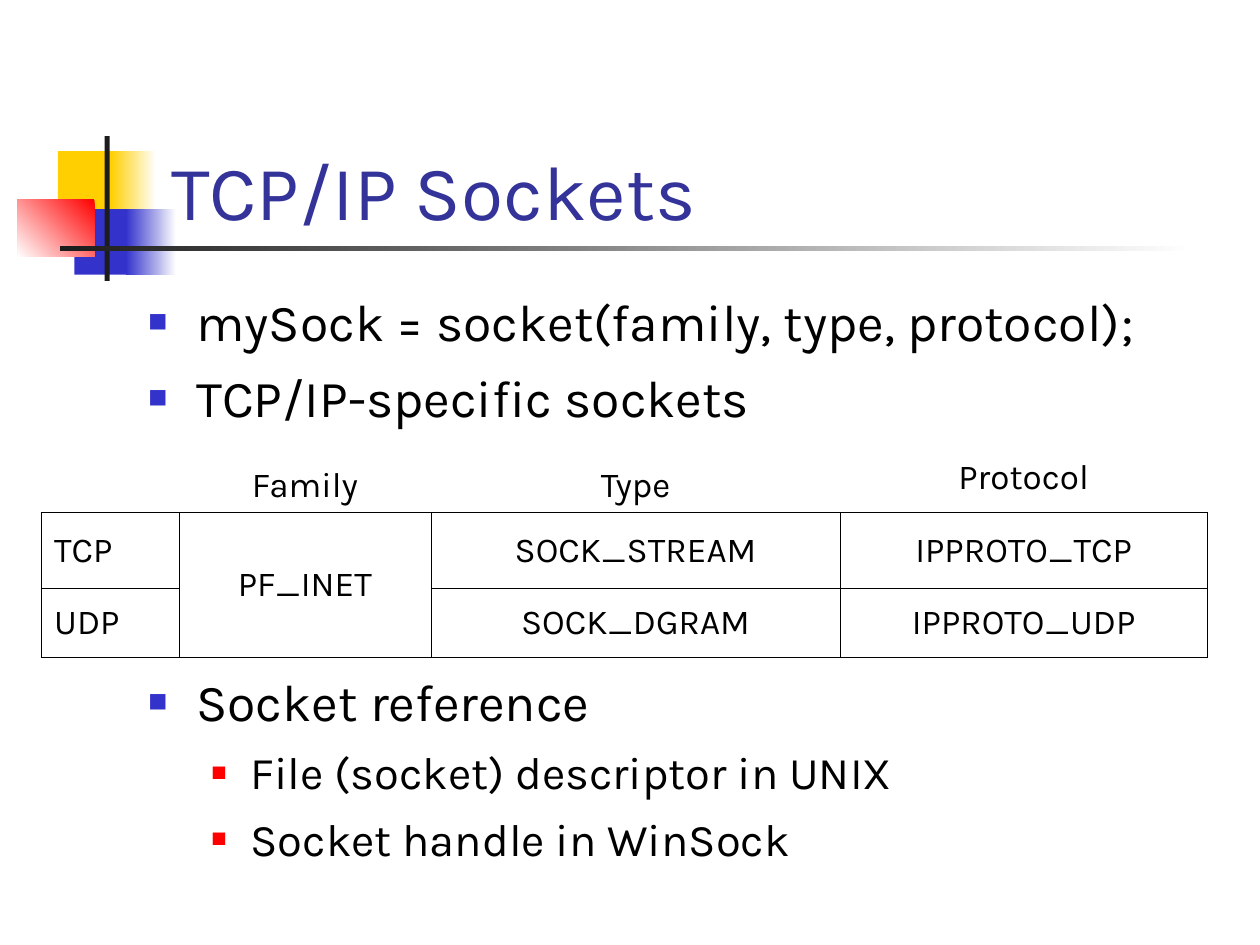
import pptx
import pptx.dml.color
import pptx.enum.shapes
import pptx.enum.text
import pptx.oxml.ns
import pptx.util
from lxml import etree

Inches = pptx.util.Inches
Pt = pptx.util.Pt
RGBColor = pptx.dml.color.RGBColor
ALIGN = pptx.enum.text.PP_ALIGN
ANCHOR = pptx.enum.text.MSO_ANCHOR
qn = pptx.oxml.ns.qn

WHITE = RGBColor(0xFF, 0xFF, 0xFF)
BLACK = RGBColor(0, 0, 0)
YELLOW = RGBColor(0xFF, 0xCF, 0x01)
BLUE = RGBColor(0x33, 0x33, 0xCC)
RED = RGBColor(0xFF, 0, 0)
CHARCOAL = RGBColor(0x1C, 0x1C, 0x1C)
NAVY = RGBColor(0x33, 0x33, 0x99)
FONT = "Karla"
NO_STYLE = "{2D5ABB26-0587-4C30-8999-92F81FD0307C}"


def write(p, text, size=20, color=BLACK, align=ALIGN.LEFT, before=0):
    p.alignment = align
    p.space_before = Pt(before)
    r = p.add_run()
    r.text = text
    r.font.name = FONT
    r.font.size = Pt(size)
    r.font.color.rgb = color


def set_bullet(p, color, percent, margin, hang):
    pPr = p._p.get_or_add_pPr()
    pPr.set("marL", str(Inches(margin)))
    pPr.set("indent", str(-Inches(hang)))
    buClr = etree.SubElement(pPr, qn("a:buClr"))
    etree.SubElement(buClr, qn("a:srgbClr"), val=str(color))
    etree.SubElement(pPr, qn("a:buSzPct"), val=str(percent * 1000))
    etree.SubElement(pPr, qn("a:buFont"), typeface=FONT)
    etree.SubElement(pPr, qn("a:buChar"), char="■")


def set_border(cell, side, width):
    ln = etree.SubElement(cell._tc.get_or_add_tcPr(), qn(f"a:ln{side}"), w=str(Pt(width)))
    fill = etree.SubElement(ln, qn("a:solidFill"))
    etree.SubElement(fill, qn("a:srgbClr"), val=str(BLACK))


class SlideBuilder:
    levels = [
        dict(size=29.6, before=8, bullet=(BLUE, 39, 0.38, 0.38)),
        dict(size=25.9, before=7, bullet=(RED, 36, 0.81, 0.31)),
    ]
    thin, thick = 0.45, 1.08

    def __init__(self, prs):
        self.s = prs.slides.add_slide(prs.slide_layouts[6])

    def rect(self, x, y, w, h, color, end=None, angle=0):
        sp = self.s.shapes.add_shape(
            pptx.enum.shapes.MSO_SHAPE.RECTANGLE, Inches(x), Inches(y), Inches(w), Inches(h))
        sp.shadow.inherit = False
        sp.line.fill.background()
        if end is None:
            sp.fill.solid()
            sp.fill.fore_color.rgb = color
        else:
            sp.fill.gradient()
            sp.fill.gradient_angle = angle
            for stop, rgb in zip(sp.fill.gradient_stops, (color, end)):
                stop.color.rgb = rgb

    def text_frame(self, x, y, w, h, anchor=ANCHOR.TOP):
        tf = self.s.shapes.add_textbox(Inches(x), Inches(y), Inches(w), Inches(h)).text_frame
        tf.word_wrap = True
        tf.vertical_anchor = anchor
        return tf

    def title(self, text, x, y, w, h):
        tf = self.text_frame(x, y, w, h, ANCHOR.BOTTOM)
        write(tf.paragraphs[0], text, size=44, color=NAVY)

    def bullets(self, items, x, y, w, h):
        tf = self.text_frame(x, y, w, h)
        for i, (level, text) in enumerate(items):
            p = tf.add_paragraph() if i else tf.paragraphs[0]
            style = self.levels[level]
            p.level = level
            write(p, text, size=style["size"], before=style["before"])
            set_bullet(p, *style["bullet"])

    def table(self, rows, x, y, widths, heights):
        frame = self.s.shapes.add_table(
            len(rows), len(widths), Inches(x), Inches(y),
            Inches(sum(widths)), Inches(sum(heights)))
        table = frame.table
        table.first_row = table.horz_banding = False
        table._tbl.tblPr.find(qn("a:tableStyleId")).text = NO_STYLE
        for column, width in zip(table.columns, widths):
            column.width = Inches(width)
        for row, height in zip(table.rows, heights):
            row.height = Inches(height)
        for i, row in enumerate(rows):
            for j, text in enumerate(row):
                cell = table.cell(i, j)
                if text:
                    write(cell.text_frame.paragraphs[0], text, before=5,
                          align=ALIGN.CENTER if j else ALIGN.LEFT)
                cell.vertical_anchor = ANCHOR.MIDDLE if i else ANCHOR.BOTTOM
                for side in "LRTB" if i else "B":
                    is_left_edge = side == "L" and j == 0
                    set_border(cell, side, self.thick if is_left_edge else self.thin)
                cell.fill.background()
        return table


def main():
    prs = pptx.Presentation()
    prs.slide_width, prs.slide_height = Inches(10), Inches(7.5)
    b = SlideBuilder(prs)

    b.rect(0.46, 1.2, 0.48, 0.52, YELLOW)
    b.rect(0.88, 1.2, 0.36, 0.52, WHITE, YELLOW, 180)
    b.rect(0.59, 1.66, 0.46, 0.52, BLUE)
    b.rect(1, 1.66, 0.4, 0.52, WHITE, BLUE, 180)
    b.rect(0.14, 1.58, 0.61, 0.46, RED, WHITE, 225)
    b.rect(0.83, 1.08, 0.04, 1.15, CHARCOAL)
    b.rect(0.48, 1.95, 9, 0.04, WHITE, CHARCOAL, 180)

    b.title("TCP/IP Sockets", 1.26, 0.67, 8.52, 1.25)

    table = b.table(
        [["", "Family", "Type", "Protocol"],
         ["TCP", "PF_INET", "SOCK_STREAM", "IPPROTO_TCP"],
         ["UDP", "", "SOCK_DGRAM", "IPPROTO_UDP"]],
        0.33, 3.58, [1.09, 2, 3.25, 2.91], [0.49, 0.6, 0.55])
    table.cell(1, 1).merge(table.cell(2, 1))
    table.cell(0, 3).vertical_anchor = ANCHOR.TOP

    b.bullets([(0, "mySock = socket(family, type, protocol);"),
               (0, "TCP/IP-specific sockets")], 1.08, 2.25, 8.75, 1.3)
    b.bullets([(0, "Socket reference"),
               (1, "File (socket) descriptor in UNIX"),
               (1, "Socket handle in WinSock")], 1.08, 5.27, 8.75, 2.06)

    prs.save("out.pptx")


if __name__ == "__main__":
    main()
